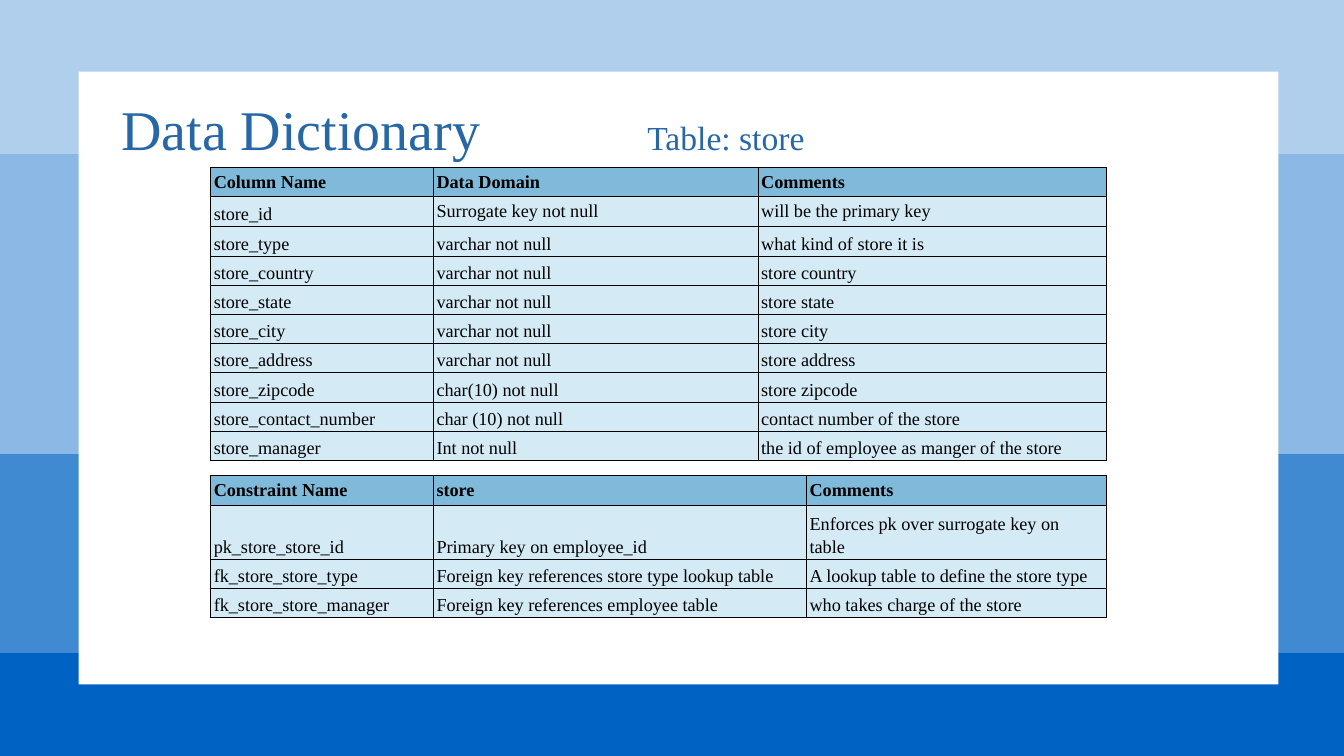
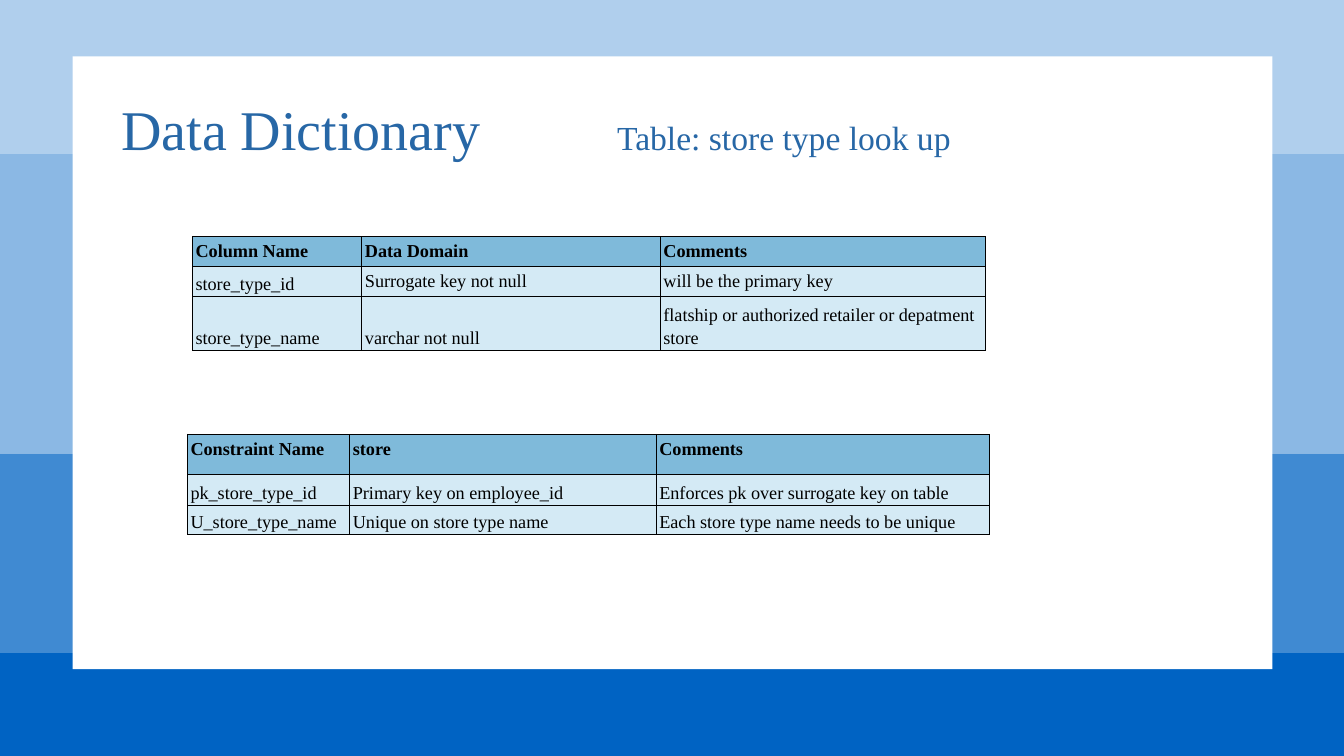
from lxml import etree
from pptx import Presentation
from pptx.dml.color import RGBColor
from pptx.enum.shapes import MSO_SHAPE
from pptx.enum.text import MSO_ANCHOR, MSO_AUTO_SIZE, PP_ALIGN
from pptx.oxml.ns import qn
from pptx.util import Inches, Pt

RECT = MSO_SHAPE.RECTANGLE
TOP, BOTTOM = MSO_ANCHOR.TOP, MSO_ANCHOR.BOTTOM
CENTER = PP_ALIGN.CENTER
NO_AUTOFIT = MSO_AUTO_SIZE.NONE

SLIDE_W, SLIDE_H = 13.33, 7.5
TITLE_ONLY = 5
FONT = "Times New Roman"
WHITE, BLACK = "FFFFFF", "000000"
HEADING, HEADER_FILL, BODY_FILL = "2767A6", "7FBADA", "D4EAF5"
BANDS = [(0, "B0CFED"), (1.53, "8BB8E4"), (4.5, "408AD2"), (6.48, "0063C3")]
CARD_SIZE = (11.9, 6.08)
TITLE_BOX = (0.91, 0.89, 4.15, 0.77)
ROW_H, KEY_ROW_H, TWO_LINE_H = 0.29, 0.3, 0.54

COLUMN_HEADER = ("Column Name", "Data Domain", "Comments")
CONSTRAINT_HEADER = ("Constraint Name", "store", "Comments")

SLIDES = [
    {
        "card": (0.78, 0.71),
        "subtitle": ("Table: store", (5.7, 1.06, 3, 0.61)),
        "tables": [
            {
                "at": (2.09, 1.66),
                "cols": (2.21, 3.22, 3.45),
                "heights": [ROW_H, KEY_ROW_H] + [ROW_H] * 8,
                "rows": [
                    COLUMN_HEADER,
                    ("store_id", "Surrogate key not null", "will be the primary key"),
                    ("store_type", "varchar not null", "what kind of store it is"),
                    ("store_country", "varchar not null", "store country"),
                    ("store_state", "varchar not null", "store state"),
                    ("store_city", "varchar not null", "store city"),
                    ("store_address", "varchar not null", "store address"),
                    ("store_zipcode", "char(10) not null", "store zipcode"),
                    ("store_contact_number", "char (10) not null",
                     "contact number of the store"),
                    ("store_manager", "Int not null",
                     "the id of employee as manger of the store"),
                ],
            },
            {
                "at": (2.09, 4.72),
                "cols": (2.21, 3.7, 2.97),
                "heights": [ROW_H, TWO_LINE_H, ROW_H, ROW_H],
                "rows": [
                    CONSTRAINT_HEADER,
                    ("pk_store_store_id", "Primary key on employee_id",
                     "Enforces pk over surrogate key on\ntable"),
                    ("fk_store_store_type",
                     "Foreign key references store type lookup table",
                     "A lookup table to define the store type"),
                    ("fk_store_store_manager", "Foreign key references employee table",
                     "who takes charge of the store"),
                ],
            },
        ],
    },
    {
        "card": (0.72, 0.56),
        "subtitle": ("Table: store type look up", (5.7, 1.06, 4.15, 0.61)),
        "tables": [
            {
                "at": (1.91, 2.35),
                "cols": (1.68, 2.96, 3.22),
                "heights": [ROW_H, KEY_ROW_H, TWO_LINE_H],
                "rows": [
                    COLUMN_HEADER,
                    ("store_type_id", "Surrogate key not null", "will be the primary key"),
                    ("store_type_name", "varchar not null",
                     "flatship or authorized retailer or depatment store"),
                ],
            },
            {
                "at": (1.86, 4.31),
                "cols": (1.61, 3.04, 3.3),
                "heights": [0.4, KEY_ROW_H, ROW_H],
                "rows": [
                    CONSTRAINT_HEADER,
                    ("pk_store_type_id", "Primary key on employee_id",
                     "Enforces pk over surrogate key on table"),
                    ("U_store_type_name", "Unique on store type name",
                     "Each store type name needs to be unique"),
                ],
            },
        ],
    },
]


def rgb(color):
    return RGBColor.from_string(color)


def inches(*values):
    return [Inches(v) for v in values]


def format_runs(p, size, color, bold=False):
    for r in p.runs:
        r.font.name, r.font.size, r.font.bold = FONT, Pt(size), bold
        r.font.color.rgb = rgb(color)


def add_rect(s, box, color):
    sp = s.shapes.add_shape(RECT, *inches(*box))
    sp.shadow.inherit = False
    sp.fill.solid()
    sp.fill.fore_color.rgb = rgb(color)
    sp.line.fill.background()


def add_background(s, card_at):
    ends = [top for top, _ in BANDS[1:]] + [SLIDE_H]
    for (top, color), end in zip(BANDS, ends):
        add_rect(s, (0, top, SLIDE_W, end - top), color)
    add_rect(s, (*card_at, *CARD_SIZE), WHITE)


def set_heading(sp, text, box, size, inset_y):
    sp.left, sp.top, sp.width, sp.height = inches(*box)
    tf = sp.text_frame
    tf.text = text
    tf.word_wrap = True
    tf.auto_size = NO_AUTOFIT
    tf.vertical_anchor = TOP
    tf.margin_left = tf.margin_right = Inches(0.1)
    tf.margin_top = tf.margin_bottom = Inches(inset_y)
    tf.paragraphs[0].alignment = CENTER
    format_runs(tf.paragraphs[0], size, HEADING)


def add_headings(s, subtitle, subtitle_box):
    title = s.shapes.title
    s.shapes.element.append(title.element)  # bring in front of the card
    set_heading(title, "Data Dictionary", TITLE_BOX, 40, 0.05)
    sp = s.shapes.add_textbox(*inches(*subtitle_box))
    set_heading(sp, subtitle, subtitle_box, 24, 0.1)


def set_borders(cell):
    tc_pr = cell._tc.get_or_add_tcPr()
    for i, side in enumerate(("lnL", "lnR", "lnT", "lnB")):
        ln = etree.Element(qn(f"a:{side}"), w=str(Pt(0.75)))
        fill = etree.SubElement(ln, qn("a:solidFill"))
        etree.SubElement(fill, qn("a:srgbClr"), val=BLACK)
        tc_pr.insert(i, ln)


def format_cell(cell, text, is_header, anchor):
    cell.text = text
    cell.vertical_anchor = anchor
    cell.margin_left = cell.margin_right = Inches(0.03)
    cell.margin_top = cell.margin_bottom = Inches(0.02)
    cell.fill.solid()
    cell.fill.fore_color.rgb = rgb(HEADER_FILL if is_header else BODY_FILL)
    set_borders(cell)
    for p in cell.text_frame.paragraphs:
        p.line_spacing = 1.15
        format_runs(p, 13, BLACK, is_header)


def add_dictionary_table(s, at, cols, heights, rows):
    size = (sum(cols), sum(heights))
    table = s.shapes.add_table(len(rows), len(cols), *inches(*at, *size)).table
    table.first_row = table.horz_banding = False
    for column, width in zip(table.columns, cols):
        column.width = Inches(width)
    for row, height in zip(table.rows, heights):
        row.height = Inches(height)
    for i, texts in enumerate(rows):
        is_key_row = texts[1].startswith("Surrogate key")
        for j, text in enumerate(texts):
            at_top = i == 0 or (is_key_row and j > 0)
            format_cell(table.cell(i, j), text, i == 0, TOP if at_top else BOTTOM)


def add_dictionary_slide(prs, card, subtitle, tables):
    s = prs.slides.add_slide(prs.slide_layouts[TITLE_ONLY])
    add_background(s, card)
    add_headings(s, *subtitle)
    for table in tables:
        add_dictionary_table(s, **table)


def main():
    prs = Presentation()
    prs.slide_width, prs.slide_height = inches(SLIDE_W, SLIDE_H)
    for content in SLIDES:
        add_dictionary_slide(prs, **content)
    prs.save("out.pptx")


if __name__ == "__main__":
    main()
